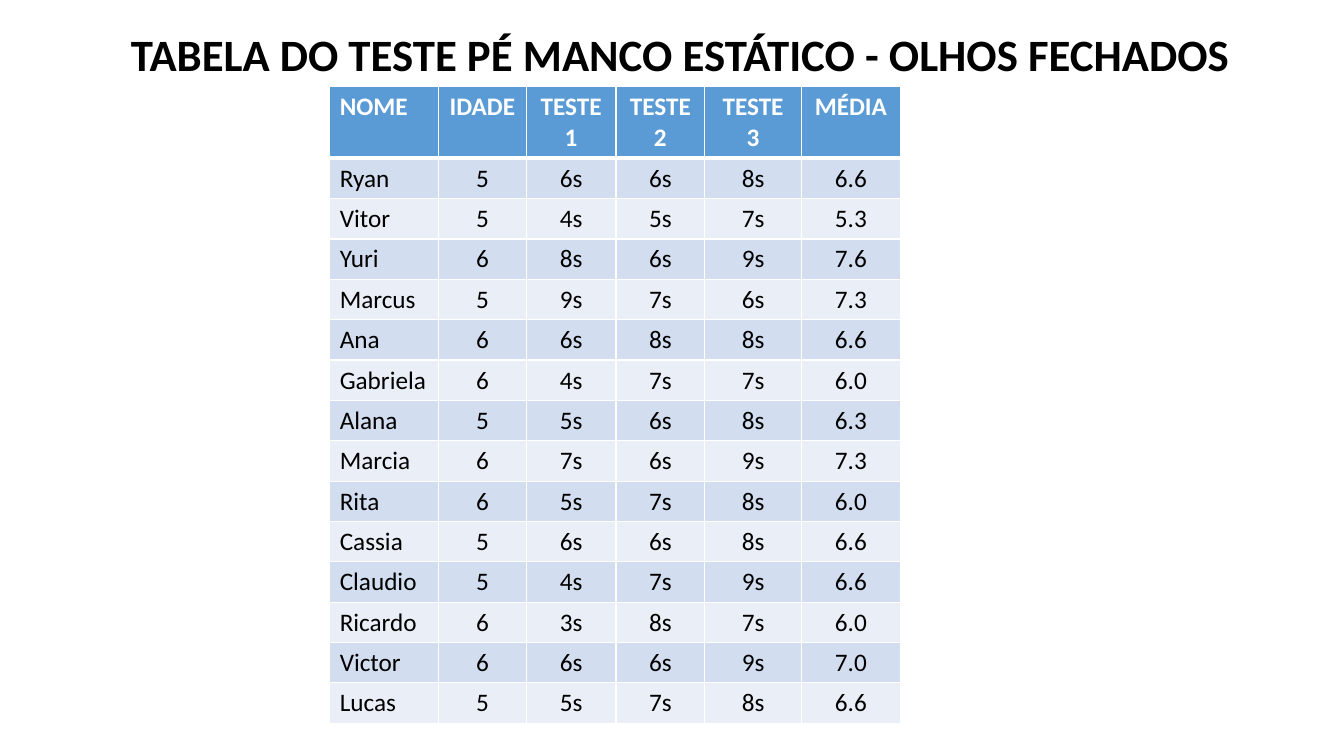
"""Build the slide with the results table of the static one-leg test."""
from dataclasses import dataclass

from lxml import etree
from pptx import Presentation
from pptx.dml.color import RGBColor
from pptx.enum.text import MSO_ANCHOR, PP_ALIGN
from pptx.oxml.ns import qn
from pptx.slide import Slide
from pptx.table import _Cell
from pptx.text.text import TextFrame
from pptx.util import Inches, Pt

LEFT, CENTER = PP_ALIGN.LEFT, PP_ALIGN.CENTER
MIDDLE = MSO_ANCHOR.MIDDLE

FONT = "Calibri"
BLACK, WHITE = "000000", "FFFFFF"
HEADER_FILL = "5B9BD5"
BAND_FILLS = ("D2DEEF", "EAEFF7")
HEADER_HEIGHT, BODY_HEIGHT = 0.71, 0.4
THIN, THICK = 1, 3


@dataclass(frozen=True)
class Column:
    heading: str
    width: float
    align: PP_ALIGN = CENTER


@dataclass(frozen=True)
class Child:
    name: str
    age: int
    tests: tuple[int, int, int]
    mean: str

    def texts(self) -> list[str]:
        """Return the cell texts of this child's row."""
        return [self.name, str(self.age), *(f"{seconds}s" for seconds in self.tests), self.mean]


@dataclass(frozen=True)
class RowStyle:
    fill: str
    color: str
    bold: bool
    top: int
    bottom: int


COLUMNS = [
    Column("NOME", 1.08, LEFT),
    Column("IDADE", 0.87),
    Column("TESTE1", 0.89),
    Column("TESTE2", 0.88),
    Column("TESTE 3", 0.96),
    Column("MÉDIA", 0.98),
]

CHILDREN = [
    Child("Ryan", 5, (6, 6, 8), "6.6"),
    Child("Vitor", 5, (4, 5, 7), "5.3"),
    Child("Yuri", 6, (8, 6, 9), "7.6"),
    Child("Marcus", 5, (9, 7, 6), "7.3"),
    Child("Ana", 6, (6, 8, 8), "6.6"),
    Child("Gabriela", 6, (4, 7, 7), "6.0"),
    Child("Alana", 5, (5, 6, 8), "6.3"),
    Child("Marcia", 6, (7, 6, 9), "7.3"),
    Child("Rita", 6, (5, 7, 8), "6.0"),
    Child("Cassia", 5, (6, 6, 8), "6.6"),
    Child("Claudio", 5, (4, 7, 9), "6.6"),
    Child("Ricardo", 6, (3, 8, 7), "6.0"),
    Child("Victor", 6, (6, 6, 9), "7.0"),
    Child("Lucas", 5, (5, 7, 8), "6.6"),
]


def rgb(color: str) -> RGBColor:
    """Turn a hex string into a colour."""
    return RGBColor.from_string(color)


def write(frame: TextFrame, text: str, size: int, color: str, bold: bool, align: PP_ALIGN) -> None:
    """Write one run into the first paragraph of a text frame."""
    para = frame.paragraphs[0]
    para.alignment = align
    span = para.add_run()
    span.text = text
    span.font.name = FONT
    span.font.size = Pt(size)
    span.font.bold = bold
    span.font.color.rgb = rgb(color)


def add_borders(cell: _Cell, top: int, bottom: int) -> None:
    """Draw white lines on the four sides of a cell."""
    properties = cell._tc.get_or_add_tcPr()
    for side, width in (("L", THIN), ("R", THIN), ("T", top), ("B", bottom)):
        line = etree.SubElement(properties, qn(f"a:ln{side}"), w=str(Pt(width)))
        fill = etree.SubElement(line, qn("a:solidFill"))
        etree.SubElement(fill, qn("a:srgbClr"), val=WHITE)


def row_style(index: int) -> RowStyle:
    """Choose the look of a table row from its index."""
    if index == 0:
        return RowStyle(HEADER_FILL, WHITE, True, THIN, THICK)
    fill = BAND_FILLS[(index - 1) % len(BAND_FILLS)]
    return RowStyle(fill, BLACK, False, THICK if index == 1 else THIN, THIN)


def add_title(page: Slide, text: str) -> None:
    """Add the slide title."""
    box = page.shapes.add_textbox(Inches(1.2), Inches(-0.16), Inches(11.5), Inches(1.45))
    frame = box.text_frame
    frame.word_wrap = True
    frame.vertical_anchor = MIDDLE
    frame.paragraphs[0].line_spacing = 0.9
    write(frame, text, 32, BLACK, True, LEFT)


def add_results(page: Slide) -> None:
    """Add the table with a header row and one row per child."""
    rows = [[column.heading for column in COLUMNS], *(child.texts() for child in CHILDREN)]
    width = sum(column.width for column in COLUMNS)
    height = HEADER_HEIGHT + BODY_HEIGHT * len(CHILDREN)
    table = page.shapes.add_table(
        len(rows), len(COLUMNS), Inches(3.27), Inches(0.86), Inches(width), Inches(height)
    ).table
    for position, column in enumerate(COLUMNS):
        table.columns[position].width = Inches(column.width)
    for index, texts in enumerate(rows):
        style = row_style(index)
        table.rows[index].height = Inches(BODY_HEIGHT if index else HEADER_HEIGHT)
        for position, (column, text) in enumerate(zip(COLUMNS, texts)):
            cell = table.cell(index, position)
            add_borders(cell, style.top, style.bottom)
            cell.fill.solid()
            cell.fill.fore_color.rgb = rgb(style.fill)
            write(cell.text_frame, text, 18, style.color, style.bold, column.align)


def main() -> None:
    """Build the deck and save it."""
    deck = Presentation()
    deck.slide_width, deck.slide_height = Inches(13.33), Inches(7.5)
    page = deck.slides.add_slide(deck.slide_layouts[6])
    add_title(page, "TABELA DO TESTE PÉ MANCO ESTÁTICO - OLHOS FECHADOS")
    add_results(page)
    deck.save("out.pptx")


if __name__ == "__main__":
    main()
